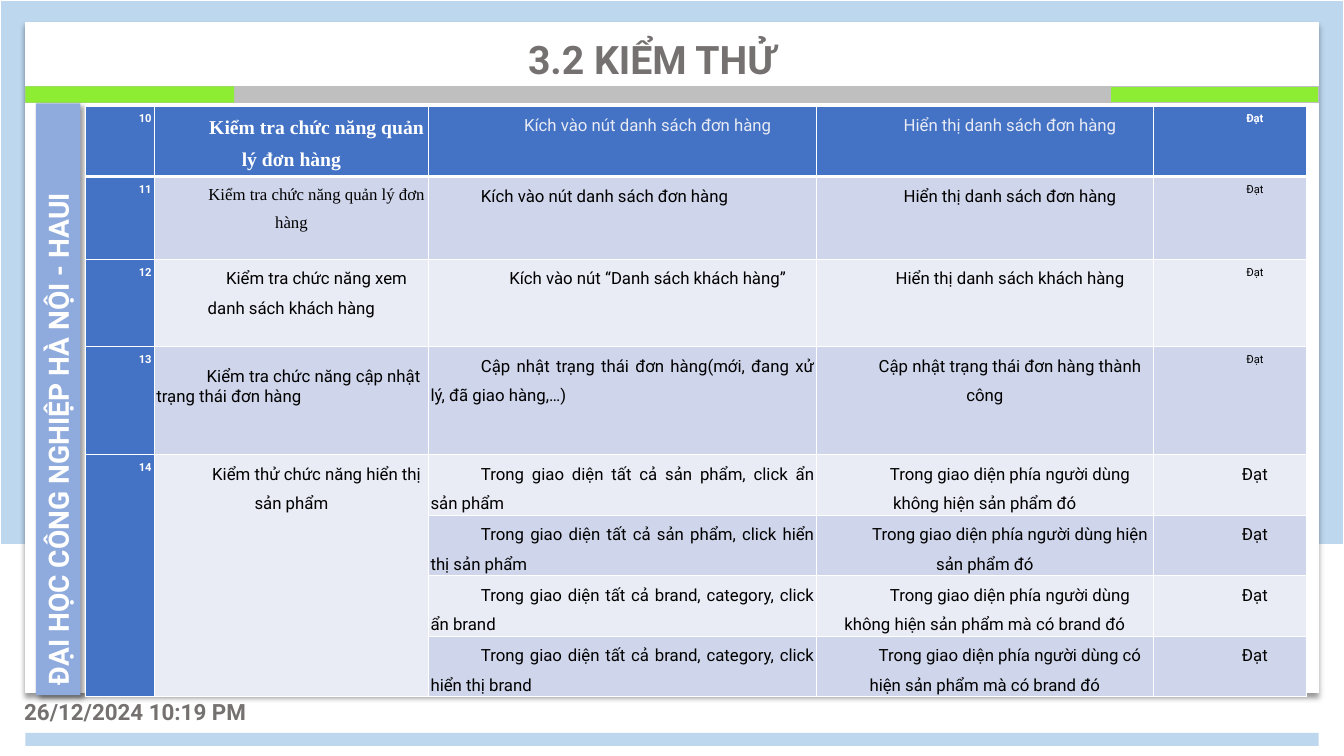
from pptx import Presentation
from pptx.dml.color import RGBColor
from pptx.enum.shapes import MSO_SHAPE as Shape
from pptx.enum.text import MSO_ANCHOR as Anchor, PP_ALIGN as Align
from pptx.oxml import parse_xml
from pptx.oxml.ns import nsdecls
from pptx.util import Cm, Pt

SANS, SERIF = "Roboto", "Times New Roman"
WHITE, BLACK, GREY, SILVER = "FFFFFF", "000000", "767171", "BFBFBF"
SKY, LIME, BLUE, PALE, MIST = "BDD7EE", "8CED33", "4472C4", "CFD5EA", "E9EBF5"
C, J, L = Align.CENTER, Align.JUSTIFY, Align.LEFT

TITLE = "3.2 KIỂM THỬ"
SCHOOL = "ĐẠI HỌC CÔNG NGHIỆP HÀ NỘI - HAUI"
DATE = "26/12/2024 10:19 PM"

PANELS = [
    (0, 0, 33.87, 13.74, SKY, WHITE, None),
    (0.64, 0.58, 32.59, 16.87, WHITE, WHITE, 90),
    (0.64, 18.47, 32.59, 0.33, SKY, None, None),
    (0.64, 2.18, 32.59, 0.41, SILVER, SILVER, None),
    (0.64, 2.18, 5.26, 0.41, LIME, None, None),
    (27.97, 2.18, 5.26, 0.41, LIME, SILVER, None),
]

ORDERS = "Kiểm tra chức năng quản lý đơn hàng"
CLICK = "Kích vào nút danh sách đơn hàng"
SHOW = "Hiển thị danh sách đơn hàng"
TESTS = [
    ("10", ORDERS, CLICK, SHOW),
    ("11", ORDERS, CLICK, SHOW),
    ("12", "Kiểm tra chức năng xem danh sách khách hàng",
     "Kích vào nút “Danh sách khách hàng”", "Hiển thị danh sách khách hàng"),
    ("13", "Kiểm tra chức năng cập nhật trạng thái đơn hàng",
     "Cập nhật trạng thái đơn hàng(mới, đang xử lý, đã giao hàng,…)",
     "Cập nhật trạng thái đơn hàng thành công"),
    ("14", "Kiểm thử chức năng hiển thị sản phẩm",
     "Trong giao diện tất cả sản phẩm, click ẩn sản phẩm",
     "Trong giao diện phía người dùng không hiện sản phẩm đó"),
    ("", "", "Trong giao diện tất cả sản phẩm, click hiển thị sản phẩm",
     "Trong giao diện phía người dùng hiện sản phẩm đó"),
    ("", "", "Trong giao diện tất cả brand, category, click ẩn brand",
     "Trong giao diện phía người dùng không hiện sản phẩm mà có brand đó"),
    ("", "", "Trong giao diện tất cả brand, category, click hiển thị brand",
     "Trong giao diện phía người dùng có hiện sản phẩm mà có brand đó"),
]
PASS = "Đạt"
WIDTHS = [1.73, 6.91, 9.78, 8.48, 3.86]
HEIGHTS = [1.78, 2.08, 2.21, 2.72] + [1.52] * 4


def color(code):
    return RGBColor.from_string(code)


def write(para, text, size, code, bold=True, font=SANS, align=L):
    para.alignment = align
    run = para.add_run()
    run.text = text
    run.font.name, run.font.size, run.font.bold = font, Pt(size), bold
    run.font.color.rgb = color(code)


def panel(x, y, w, h, fill, line, angle):
    box = slide.shapes.add_shape(Shape.RECTANGLE, Cm(x), Cm(y), Cm(w), Cm(h))
    box.shadow.inherit = False
    box.fill.solid()
    box.fill.fore_color.rgb = color(fill)
    if line:
        box.line.color.rgb = color(line)
        box.line.width = Pt(1)
    else:
        box.line.fill.background()
    if angle is not None:
        box.element.spPr.remove(box.element.spPr.effectLst)
        box.element.spPr.append(parse_xml(
            f'<a:effectLst {nsdecls("a")}><a:outerShdw blurRad="{Pt(4)}" dist="{Pt(3)}" '
            f'dir="{angle * 60000}" algn="t" rotWithShape="0"><a:srgbClr val="{BLACK}">'
            '<a:alpha val="40000"/></a:srgbClr></a:outerShdw></a:effectLst>'))
    return box


def label(x, y, w, h, text, size, align, anchor):
    box = slide.shapes.add_textbox(Cm(x), Cm(y), Cm(w), Cm(h))
    box.text_frame.word_wrap = True
    box.text_frame.vertical_anchor = anchor
    write(box.text_frame.paragraphs[0], text, size, GREY, align=align)


def border(cell, row):
    thick = {"B": 3} if row == 0 else {"T": 3} if row == 1 else {}
    props = cell._tc.get_or_add_tcPr()
    for spot, side in enumerate("LRTB"):
        props.insert(spot, parse_xml(
            f'<a:ln{side} {nsdecls("a")} w="{Pt(thick.get(side, 1))}"><a:solidFill>'
            f'<a:srgbClr val="{WHITE}"/></a:solidFill></a:ln{side}>'))


def style(row, col):
    if col == 0:
        return 8, WHITE, True, SANS, C
    if col == 4:
        return 8 if row < 4 else 12, BLACK if row else WHITE, row == 0, SANS, C
    if col == 1 and row == 0:
        return 14, WHITE, True, SERIF, C
    font = SERIF if (row, col) == (1, 1) else SANS
    align = J if col == 2 and row not in (0, 2) else L if (row, col) == (3, 1) else C
    return 12, BLACK if row else MIST, False, font, align


def fill_cell(cell, row, col, text):
    cell.margin_left = cell.margin_right = Cm(0.05)
    cell.margin_top = cell.margin_bottom = 0
    cell.fill.solid()
    band = MIST if col == 1 and row > 4 else PALE if row % 2 else MIST
    cell.fill.fore_color.rgb = color(BLUE if row == 0 or col == 0 else band)
    border(cell, row)
    if not text:
        return
    para = cell.text_frame.paragraphs[0]
    if (row, col) == (3, 1):
        cell.margin_top = Cm(0.5)
    else:
        para.line_spacing = 1.5
    props = para._p.get_or_add_pPr()
    props.set("marL", "0")
    props.set("indent", str(Cm(1.27)))
    write(para, text, *style(row, col))


deck = Presentation()
deck.slide_width, deck.slide_height = Cm(33.87), Cm(19.05)
slide = deck.slides.add_slide(deck.slide_layouts[6])

for spec_row in PANELS:
    panel(*spec_row)

side = panel(-5.99, 9.5, 14.91, 1.12, "8FAADC", None, 45)
side.rotation = 270
side.text_frame.vertical_anchor = Anchor.TOP
side.text_frame.word_wrap = True
write(side.text_frame.paragraphs[0], SCHOOL, 20, WHITE)

label(0.36, 17.42, 7.14, 1.02, DATE, 16, L, Anchor.MIDDLE)
label(1.27, 0.76, 30.3, 1.45, TITLE, 28, C, Anchor.TOP)

grid = slide.shapes.add_table(len(TESTS), len(WIDTHS), Cm(2.16), Cm(2.67),
                              Cm(sum(WIDTHS)), Cm(sum(HEIGHTS))).table
for column, width in zip(grid.columns, WIDTHS):
    column.width = Cm(width)
for line, height in zip(grid.rows, HEIGHTS):
    line.height = Cm(height)
for row, test in enumerate(TESTS):
    for col, text in enumerate(test + (PASS,)):
        fill_cell(grid.cell(row, col), row, col, text)
for col in (0, 1):
    grid.cell(4, col).merge(grid.cell(7, col))

deck.save("out.pptx")
